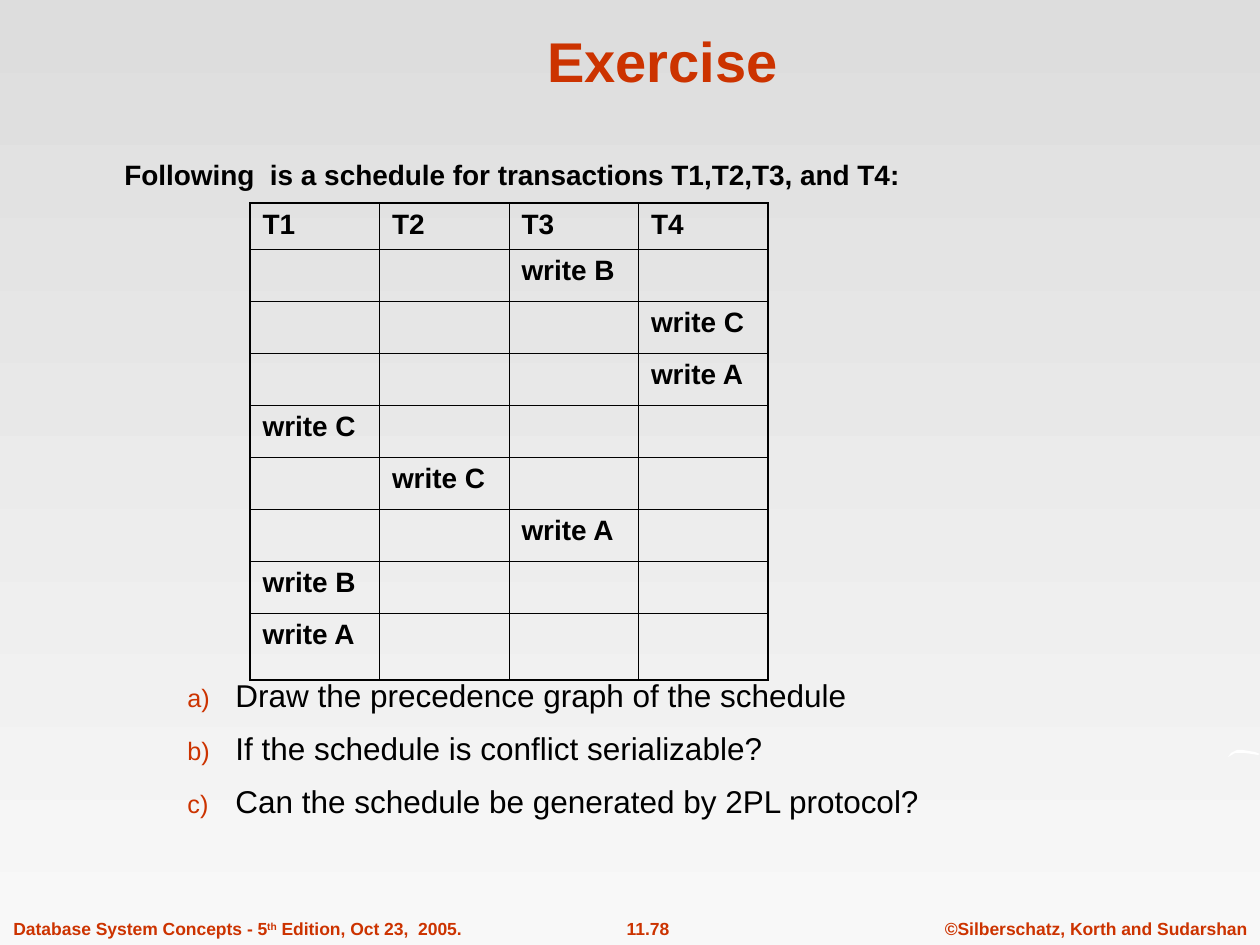
from lxml import etree
from pptx import Presentation
from pptx import util as u
from pptx.dml.color import RGBColor
from pptx.enum import text
from pptx.oxml import ns

PX = 914400 / 126
RED, BLACK, WHITE = "CC3300", "000000", "FFFFFF"


def rgb(value):
    return RGBColor.from_string(value)


def add_text(s, box, lines, size, color, bold, wrap=True):
    """Add a text box with one paragraph per line and return its text frame."""
    sp = s.shapes.add_textbox(*[round(n * PX) for n in box])
    tf = sp.text_frame
    tf.word_wrap = wrap
    tf.text = "\n".join(lines)
    for p in tf.paragraphs:
        for r in p.runs:
            r.font.name, r.font.size, r.font.bold = "Arial", u.Pt(size), bold
            r.font.color.rgb = rgb(color)
    return tf


prs = Presentation()
prs.slide_width, prs.slide_height = round(1260 * PX), round(945 * PX)
s = prs.slides.add_slide(prs.slide_layouts[5])

fill = s.background.fill
fill.gradient()
fill.gradient_angle = 270
for stop, color in zip(fill.gradient_stops, ("DDDDDD", "F8F8F8")):
    stop.color.rgb = rgb(color)

# Footer
footers = [
    ((1, 912, 474, 33), "Database System Concepts - 5th Edition, Oct 23,  2005.",
     text.PP_ALIGN.LEFT),
    ((581, 912, 134, 33), "11.78", text.PP_ALIGN.CENTER),
    ((932, 912, 328, 33), "©Silberschatz, Korth and Sudarshan", text.PP_ALIGN.CENTER),
]
for box, words, align in footers:
    tf = add_text(s, box, [words], 10, RED, True, wrap=False)
    p = tf.paragraphs[0]
    p.alignment = align
    before, mark, after = words.partition("th Edition")
    if mark:
        p.runs[0].text = before
        for part, baseline in (("th", "30000"), (" Edition" + after, "0")):
            r = p.add_run()
            r.text = part
            r.font.name, r.font.size, r.font.bold = "Arial", u.Pt(10), True
            r.font.color.rgb = rgb(RED)
            r.font._element.set("baseline", baseline)

# White wisp at the right edge
outline = [(1228, 757), (1231, 753), (1237, 750), (1243, 750), (1249, 751),
           (1255, 752), (1260, 754), (1258, 755), (1252, 754), (1245, 753),
           (1235, 753), (1230, 756)]
builder = s.shapes.build_freeform(*outline[0], scale=PX)
builder.add_line_segments(outline[1:], close=True)
sp = builder.convert_to_shape()
sp.shadow.inherit = False
sp.fill.solid()
sp.fill.fore_color.rgb = rgb(WHITE)
sp.line.fill.background()

# Title
title = s.shapes.title
title.left, title.top, title.width, title.height = [
    round(n * PX) for n in (106, 16, 1113, 84)]
tf = title.text_frame
tf.text = "Exercise"
tf.vertical_anchor = text.MSO_ANCHOR.BOTTOM
p = tf.paragraphs[0]
p.alignment = text.PP_ALIGN.CENTER
font = p.runs[0].font
font.name, font.size, font.bold = "Arial", u.Pt(32), True
font.color.rgb = rgb(RED)

# Introduction and questions
add_text(s, (112, 151, 979, 44),
         ["Following  is a schedule for transactions T1,T2,T3, and T4:"], 16, BLACK, True)
questions = ["Draw the precedence graph of the schedule",
             "If the schedule is conflict serializable?",
             "Can the schedule be generated by 2PL protocol?"]
tf = add_text(s, (112, 670, 979, 156), questions, 18, BLACK, False)
for i, p in enumerate(tf.paragraphs):
    pPr = p._p.get_or_add_pPr()
    pPr.set("marL", str(round(111 * PX)))
    pPr.set("indent", str(round(-48 * PX)))
    color = etree.SubElement(pPr, ns.qn("a:buClr"))
    etree.SubElement(color, ns.qn("a:srgbClr"), val=RED)
    etree.SubElement(pPr, ns.qn("a:buSzPct"), val="80000")
    etree.SubElement(pPr, ns.qn("a:buFont"), typeface="Arial")
    etree.SubElement(pPr, ns.qn("a:buAutoNum"), type="alphaLcParenR")
    if i:
        p.space_before = u.Pt(8.7)

# Schedule: one write per row, in the column of its transaction
writes = [(2, "B"), (3, "C"), (3, "A"), (0, "C"), (1, "C"), (2, "A"), (0, "B"), (0, "A")]
heights = [46] + [52] * 7 + [67]
rows, cols = len(heights), 4
frame = s.shapes.add_table(rows, cols, *[round(n * PX) for n in (250, 203, 518, sum(heights))])
table = frame.table
table.first_row = table.horz_banding = False
for row, height in zip(table.rows, heights):
    row.height = round(height * PX)

for i in range(rows):
    for j in range(cols):
        cell = table.cell(i, j)
        if i == 0:
            cell.text = f"T{j + 1}"
        elif writes[i - 1][0] == j:
            cell.text = f"write {writes[i - 1][1]}"
        for r in cell.text_frame.paragraphs[0].runs:
            r.font.name, r.font.size, r.font.bold = "Arial", u.Pt(16), True
            r.font.color.rgb = rgb(BLACK)
        outer = {"L": j == 0, "R": j == cols - 1, "T": i == 0, "B": i == rows - 1}
        tcPr = cell._tc.get_or_add_tcPr()
        for side, is_outer in outer.items():
            width = u.Pt(1.08 if is_outer else 0.45)
            ln = etree.SubElement(tcPr, ns.qn(f"a:ln{side}"), w=str(width))
            solid = etree.SubElement(ln, ns.qn("a:solidFill"))
            etree.SubElement(solid, ns.qn("a:srgbClr"), val=BLACK)
        cell.fill.background()

prs.save("out.pptx")
